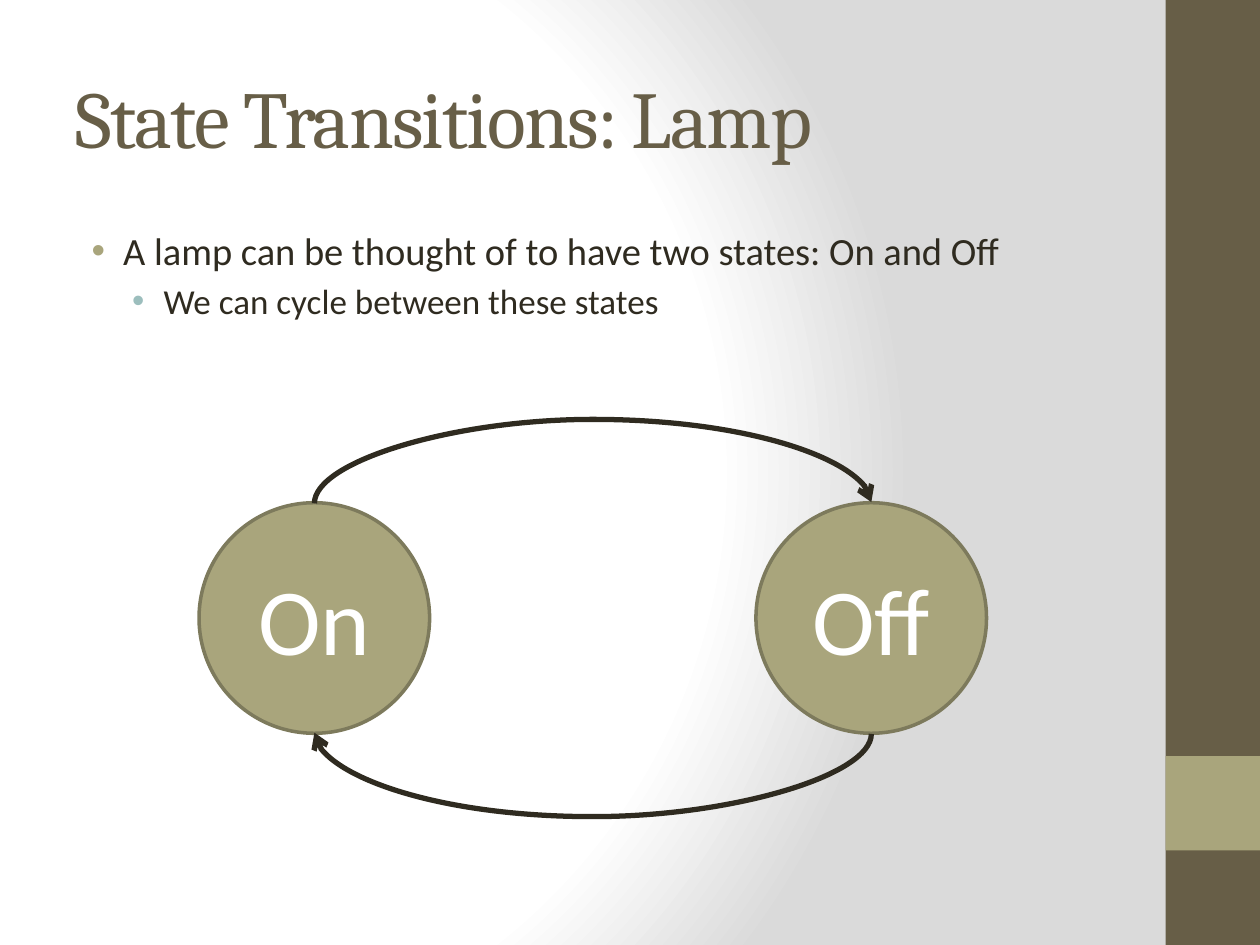
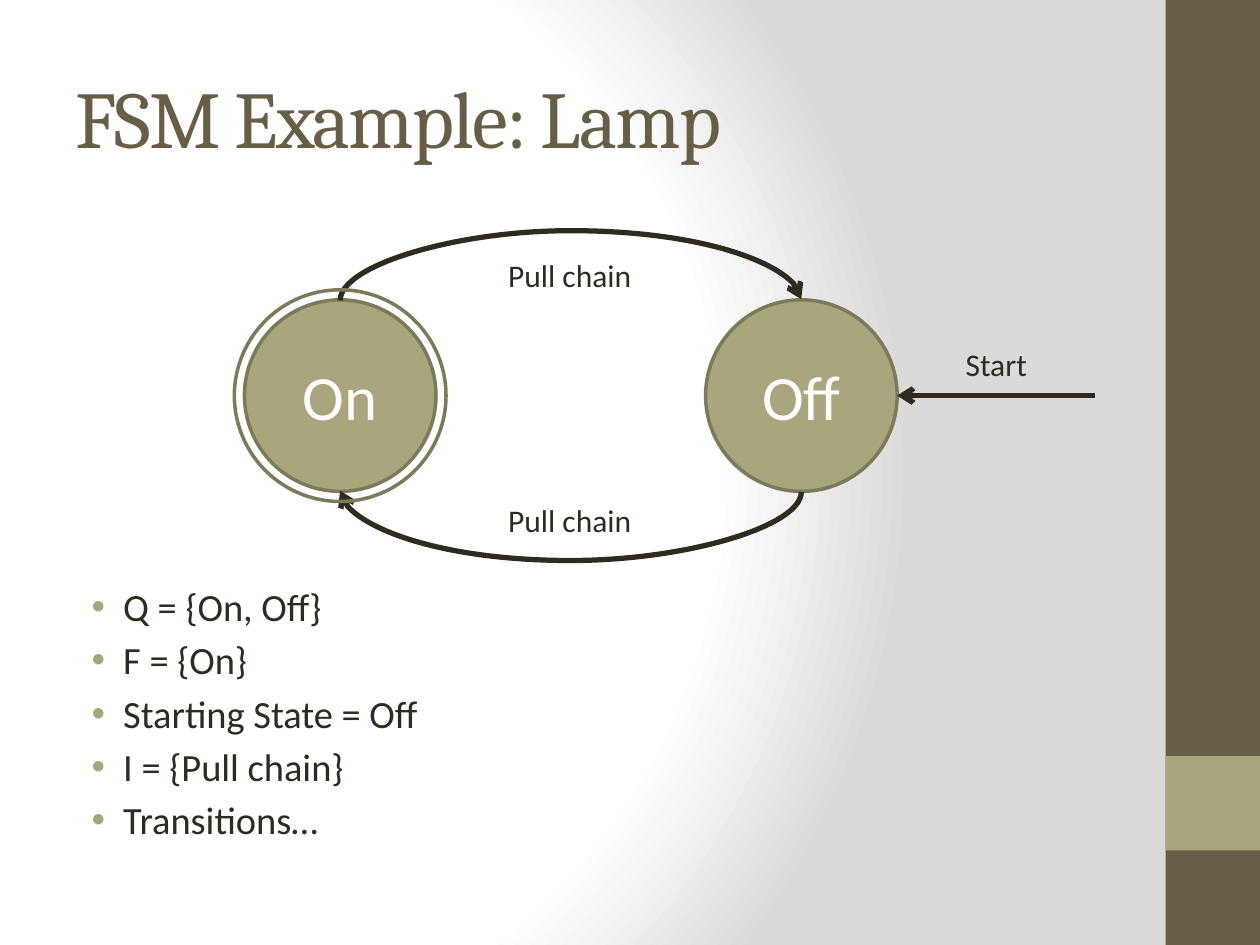
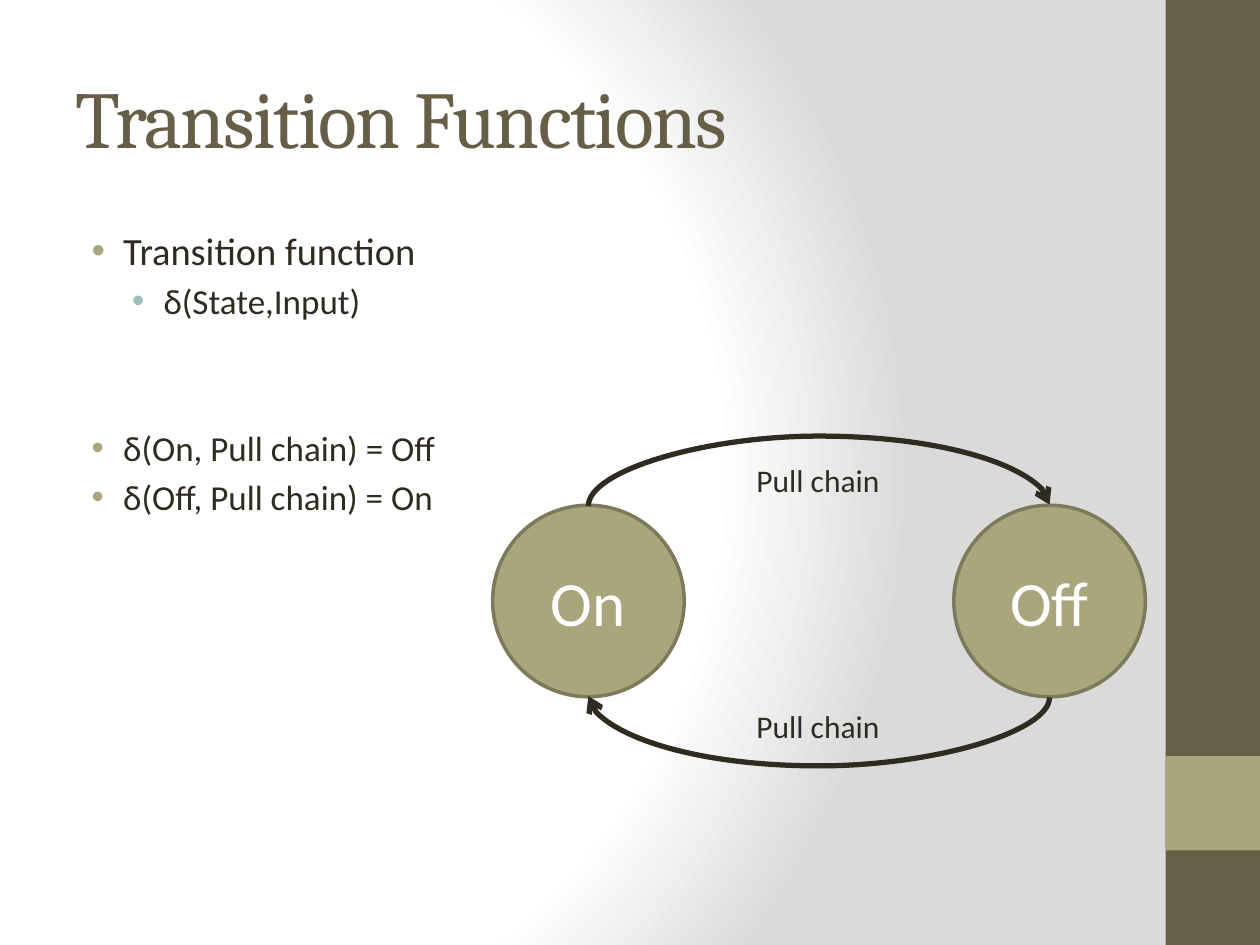
from dataclasses import dataclass
from typing import Any

import lxml.etree
import pptx
import pptx.dml.color
import pptx.enum.shapes
import pptx.enum.text
import pptx.oxml.ns
import pptx.shapes.autoshape
import pptx.shapes.connector
import pptx.slide
import pptx.text.text
import pptx.util

Inches = pptx.util.Inches
Pt = pptx.util.Pt
qn = pptx.oxml.ns.qn
SHAPE = pptx.enum.shapes.MSO_SHAPE
CONNECTOR = pptx.enum.shapes.MSO_CONNECTOR
ANCHOR = pptx.enum.text.MSO_ANCHOR
ALIGN = pptx.enum.text.PP_ALIGN

COLORS = {
    "white": "FFFFFF",
    "grey": "DADADA",
    "brown": "675E47",
    "olive": "A9A57C",
    "outline": "7D7A5C",
    "teal": "9CBEBD",
    "ink": "2F2B20",
}
FONTS = {
    "title": {"name": "Cambria", "size": Pt(46)},
    "bullet": {"name": "Calibri", "size": Pt(22)},
    "sub": {"name": "Calibri", "size": Pt(20)},
    "label": {"name": "Calibri", "size": Pt(18)},
    "state": {"name": "Calibri", "size": Pt(36)},
    "big_state": {"name": "Calibri", "size": Pt(54)},
}
GRADIENT = {0: "white", 75: "white", 100: "grey"}
FOCUS = {"l": "20000", "t": "50000", "r": "100000", "b": "50000"}
ARC_BOX = 0.01
ARC_REACH = 0.37
TOP_SITE, BOTTOM_SITE = "0", "4"


@dataclass
class Bullet:
    text: str
    font: str = "bullet"
    color: str = "olive"
    margin: float = 0.38
    before: float = 4


@dataclass
class Lamp:
    left: float
    top: float
    size: float
    gap: float
    font: str = "state"
    label: str = ""


@dataclass
class Page:
    title: str
    bullets: list[Bullet]
    lamp: Lamp
    body_top: float = 1.75
    accepting: bool = False


def rgb(color: str) -> pptx.dml.color.RGBColor:
    return pptx.dml.color.RGBColor.from_string(COLORS[color])


def child(parent: Any, tag: str, **attrs: str) -> Any:
    element = lxml.etree.SubElement(parent, qn(tag))
    for name, value in attrs.items():
        element.set(name, value)
    return element


def add_run(p: Any, text: str, font: str, color: str) -> Any:
    r = p.add_run()
    r.text = text
    for name, value in FONTS[font].items():
        setattr(r.font, name, value)
    r.font.color.rgb = rgb(color)
    return r


def add_text(s: pptx.slide.Slide, left: float, top: float, width: float,
             height: float, wrap: bool = True) -> pptx.text.text.TextFrame:
    box = s.shapes.add_textbox(Inches(left), Inches(top), Inches(width), Inches(height))
    box.text_frame.word_wrap = wrap
    return box.text_frame


def add_block(s: pptx.slide.Slide, kind: Any, left: float, top: float, width: float,
              height: float, fill: str = "", line: str = "") -> pptx.shapes.autoshape.Shape:
    sp = s.shapes.add_shape(kind, Inches(left), Inches(top), Inches(width), Inches(height))
    sp.shadow.inherit = False
    if fill:
        sp.fill.solid()
        sp.fill.fore_color.rgb = rgb(fill)
    else:
        sp.fill.background()
    if line:
        sp.line.color.rgb = rgb(line)
        sp.line.width = Pt(2)
    else:
        sp.line.fill.background()
    return sp


def add_background(s: pptx.slide.Slide) -> None:
    s.background.fill.solid()
    props = next(s.element.iter(qn("p:bgPr")))
    props.remove(props.find(qn("a:solidFill")))
    gradient = child(props, "a:gradFill", rotWithShape="1")
    props.insert(0, gradient)
    stops = child(gradient, "a:gsLst")
    for position, color in GRADIENT.items():
        stop = child(stops, "a:gs", pos=str(position * 1000))
        child(stop, "a:srgbClr", val=COLORS[color])
    child(child(gradient, "a:path", path="circle"), "a:fillToRect", **FOCUS)


def add_frame(s: pptx.slide.Slide, title: str) -> None:
    add_background(s)
    add_block(s, SHAPE.RECTANGLE, 9.25, 0, 0.75, 7.5, "brown")
    add_block(s, SHAPE.RECTANGLE, 9.25, 6, 0.75, 0.75, "olive")
    tf = add_text(s, 0.5, 0.3, 8.33, 1.25)
    tf.vertical_anchor = ANCHOR.MIDDLE
    r = add_run(tf.paragraphs[0], title, "title", "brown")
    r.font._element.set("spc", "-100")


def add_bullets(s: pptx.slide.Slide, bullets: list[Bullet], top: float) -> None:
    tf = add_text(s, 0.5, top, 8.33, 7 - top)
    for i, bullet in enumerate(bullets):
        p = tf.add_paragraph() if i else tf.paragraphs[0]
        p.space_before = Pt(bullet.before)
        props = p._p.get_or_add_pPr()
        props.set("marL", str(Inches(bullet.margin)))
        props.set("indent", str(Inches(-0.25)))
        child(child(props, "a:buClr"), "a:srgbClr", val=COLORS[bullet.color])
        child(props, "a:buFont", typeface="Arial")
        child(props, "a:buChar", char="•")
        add_run(p, bullet.text, bullet.font, "ink")


def add_label(s: pptx.slide.Slide, text: str, center: float, top: float, width: float) -> None:
    tf = add_text(s, center - width / 2, top, width, 0.4, wrap=False)
    add_run(tf.paragraphs[0], text, "label", "ink")


def add_state(s: pptx.slide.Slide, lamp: Lamp, left: float, name: str) -> pptx.shapes.autoshape.Shape:
    sp = add_block(s, SHAPE.OVAL, left, lamp.top, lamp.size, lamp.size, "olive", "outline")
    sp.text_frame.vertical_anchor = ANCHOR.MIDDLE
    p = sp.text_frame.paragraphs[0]
    p.alignment = ALIGN.CENTER
    add_run(p, name, lamp.font, "white")
    return sp


def add_arrow(s: pptx.slide.Slide, kind: Any, x1: float, y1: float, x2: float, y2: float,
              end: str) -> pptx.shapes.connector.Connector:
    cx = s.shapes.add_connector(kind, Inches(x1), Inches(y1), Inches(x2), Inches(y2))
    cx.line.color.rgb = rgb("ink")
    cx.line.width = Pt(3)
    child(cx.line._get_or_add_ln(), end, type="arrow")
    child(cx.element.spPr, "a:effectLst")
    return cx


def add_arc(s: pptx.slide.Slide, lamp: Lamp, on: Any, off: Any, above: bool) -> None:
    middle = lamp.left + (lamp.size + lamp.gap) / 2
    edge = lamp.top if above else lamp.top + lamp.size
    upper, lower = edge - lamp.gap / 2, edge + lamp.gap / 2
    start, stop = (lower, upper) if above else (upper, lower)
    cx = add_arrow(s, CONNECTOR.CURVE, middle + ARC_BOX / 2, start, middle - ARC_BOX / 2, stop,
                   "a:tailEnd" if above else "a:headEnd")
    props = cx.element.spPr
    props.find(qn("a:xfrm")).set("rot", str((90 if above else 270) * 60000))
    geometry = props.find(qn("a:prstGeom"))
    for guides in geometry.findall(qn("a:avLst")):
        geometry.remove(guides)
    bend = round(lamp.size * ARC_REACH / ARC_BOX * 100000)
    child(child(geometry, "a:avLst"), "a:gd", name="adj1", fmla=f"val {bend}")
    ends = next(cx.element.iter(qn("p:cNvCxnSpPr")))
    site = TOP_SITE if above else BOTTOM_SITE
    for tag, state in (("a:stCxn", on), ("a:endCxn", off)):
        child(ends, tag, id=str(state.shape_id), idx=site)


def add_lamp(s: pptx.slide.Slide, lamp: Lamp) -> None:
    on = add_state(s, lamp, lamp.left, "On")
    off = add_state(s, lamp, lamp.left + lamp.gap, "Off")
    for above in (True, False):
        add_arc(s, lamp, on, off, above)
        if lamp.label:
            top = lamp.top - 0.4 if above else lamp.top + lamp.size + 0.03
            add_label(s, lamp.label, lamp.left + (lamp.size + lamp.gap) / 2, top, 1.19)


def add_start_and_ring(s: pptx.slide.Slide, lamp: Lamp) -> None:
    margin = 0.08
    ring = lamp.size + 2 * margin
    add_block(s, SHAPE.OVAL, lamp.left - margin, lamp.top - margin, ring, ring, line="outline")
    edge = lamp.left + lamp.gap + lamp.size
    y = lamp.top + lamp.size / 2
    add_arrow(s, CONNECTOR.STRAIGHT, edge + 1.57, y, edge, y, "a:tailEnd")
    add_label(s, "Start", edge + 0.79, y - 0.45, 0.69)


PAGES = [
    Page(
        "State Transitions: Lamp",
        [
            Bullet("A lamp can be thought of to have two states: On and Off"),
            Bullet("We can cycle between these states", "sub", "teal", 0.7),
        ],
        Lamp(1.58, 3.99, 1.83, 4.42, "big_state"),
    ),
    Page(
        "FSM Example: Lamp",
        [Bullet(text) for text in (
            "Q = {On, Off}", "F = {On}", "Starting State = Off", "I = {Pull chain}", "Transitions…")],
        Lamp(1.94, 2.38, 1.52, 3.66, label="Pull chain"),
        body_top=4.58,
        accepting=True,
    ),
    Page(
        "Transition Functions",
        [
            Bullet("Transition function"),
            Bullet("δ(State,Input)", "sub", "teal", 0.7),
            Bullet("δ(On, Pull chain) = Off", "sub", before=60),
            Bullet("δ(Off, Pull chain) = On", "sub"),
        ],
        Lamp(3.91, 4.01, 1.52, 3.66, label="Pull chain"),
    ),
]


def main() -> None:
    prs = pptx.Presentation()
    prs.slide_width = Inches(10)
    prs.slide_height = Inches(7.5)
    for page in PAGES:
        s = prs.slides.add_slide(prs.slide_layouts[6])
        add_frame(s, page.title)
        add_bullets(s, page.bullets, page.body_top)
        add_lamp(s, page.lamp)
        if page.accepting:
            add_start_and_ring(s, page.lamp)
    prs.save("out.pptx")


main()
